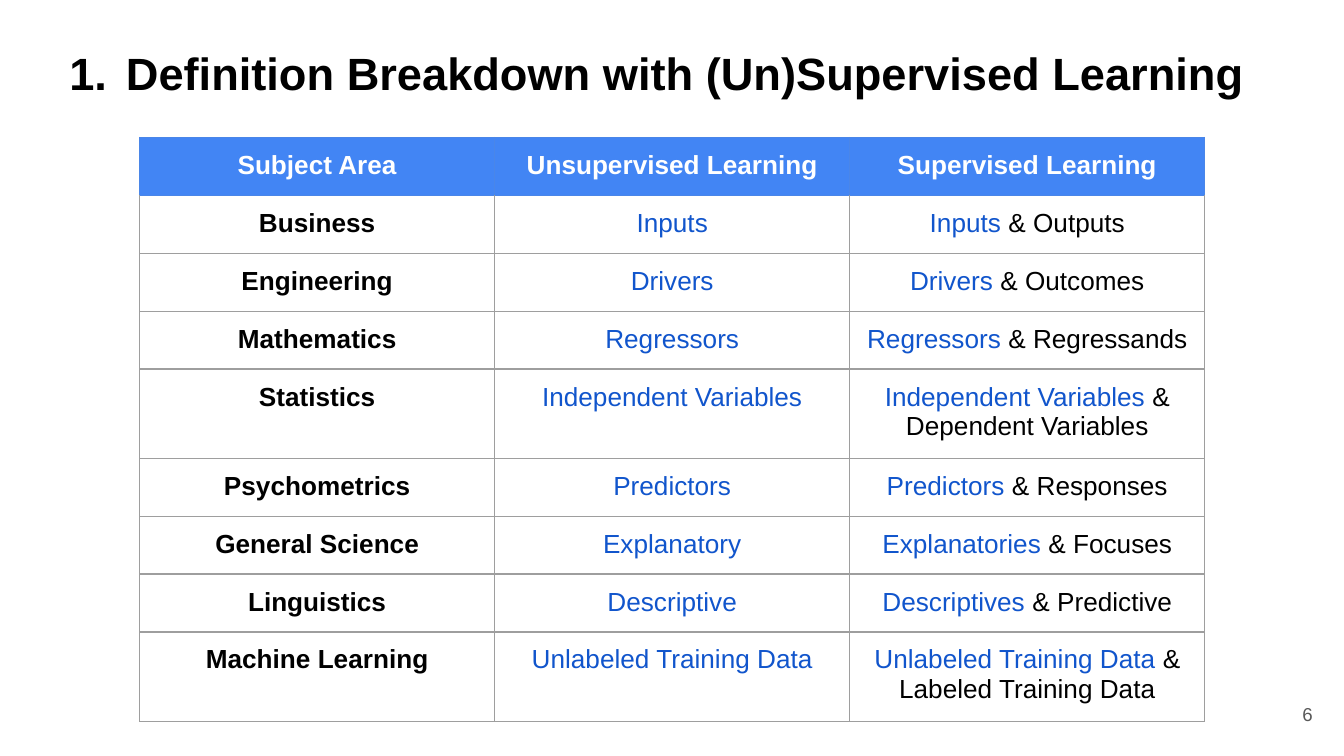
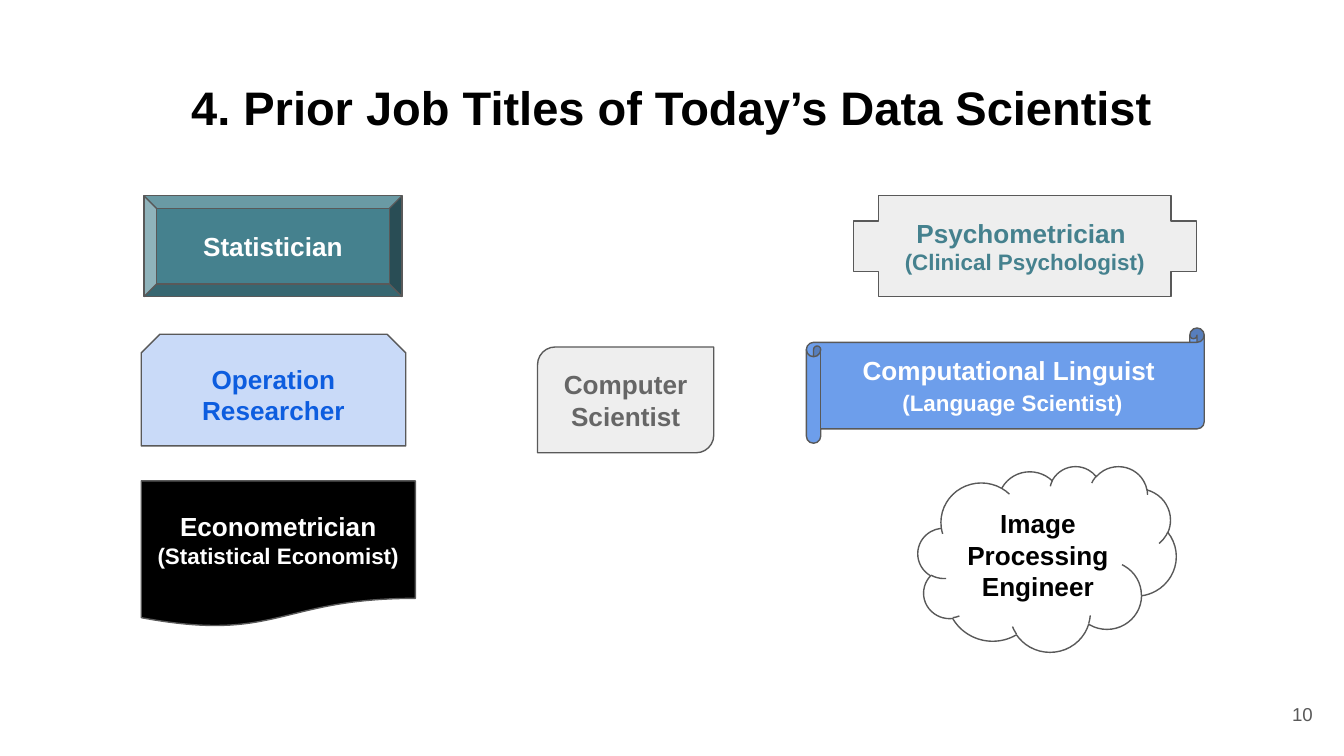
import lxml.etree
import pptx
import pptx.dml.color
import pptx.enum.shapes
import pptx.enum.text
import pptx.oxml.ns
import pptx.util

Cm, Pt = pptx.util.Cm, pptx.util.Pt
qn = pptx.oxml.ns.qn
ALIGN = pptx.enum.text.PP_ALIGN
ANCHOR = pptx.enum.text.MSO_ANCHOR
SHAPE = pptx.enum.shapes.MSO_SHAPE

FONT = "Arial"
INSET = Cm(0.25)
LINE_WIDTH = Pt(0.75)
BODY, DETAIL, FOOTER = 14, 12, 10
COLORS = {
    "black": "000000", "white": "FFFFFF", "outline": "595959",
    "header": "4285F4", "header_border": "4A86E8", "border": "9E9E9E",
    "input": "1155CC", "teal": "45818E", "pale_blue": "C9DAF8",
    "operation": "0D5DDF", "light_gray": "EEEEEE", "gray": "666666",
    "scroll": "6D9EEB",
}

SUBJECT_COLUMNS = ("Subject Area", "Unsupervised Learning", "Supervised Learning")
SUBJECTS = [
    ("Business", "Inputs", "Inputs", " & Outputs"),
    ("Engineering", "Drivers", "Drivers", " & Outcomes"),
    ("Mathematics", "Regressors", "Regressors", " & Regressands"),
    ("Statistics", "Independent Variables", "Independent Variables", " & Dependent Variables"),
    ("Psychometrics", "Predictors", "Predictors", " & Responses"),
    ("General Science", "Explanatory", "Explanatories", " & Focuses"),
    ("Linguistics", "Descriptive", "Descriptives ", "& Predictive"),
    ("Machine Learning", "Unlabeled Training Data", "Unlabeled Training Data",
     " & Labeled Training Data"),
]

JOB_TITLES = [
    (SHAPE.BEVEL, (2.72, 3.7, 4.88, 1.91), "teal", "white",
     [[("Statistician", BODY)]]),
    (SHAPE.SNIP_2_SAME_RECTANGLE, (2.67, 6.32, 5, 2.11), "pale_blue", "operation",
     [[("Operation Researcher", BODY)]]),
    (SHAPE.FLOWCHART_DOCUMENT, (2.67, 9.09, 5.18, 2.77), "black", "white",
     [[("Econometrician ", BODY), ("(Statistical Economist)", DETAIL)]]),
    (SHAPE.CROSS, (16.13, 3.7, 6.48, 1.91), "light_gray", "teal",
     [[("Psychometrician ", BODY)], [("(Clinical Psychologist)", DETAIL)]]),
    (SHAPE.HORIZONTAL_SCROLL, (15.24, 6.2, 7.52, 2.18), "scroll", "white",
     [[("Computational Linguist", BODY)], [(" ", BODY), ("(Language Scientist)", DETAIL)]]),
    (SHAPE.CLOUD, (17.35, 8.81, 4.88, 3.51), "white", "black",
     [[("Image Processing Engineer", BODY)]]),
    (SHAPE.ROUND_2_DIAG_RECTANGLE, (10.16, 6.56, 3.33, 2), "light_gray", "gray",
     [[("Computer Scientist", BODY)]]),
]


def rgb(color):
    """Return the named colour."""
    return pptx.dml.color.RGBColor.from_string(COLORS[color])


def write_paragraph(paragraph, runs, align=ALIGN.CENTER, bold=True):
    """Write (text, size, colour) runs, setting shared values on the paragraph."""
    paragraph.alignment = align
    paragraph.font.name = FONT
    paragraph.font.bold = bold
    same_size = len({size for _, size, _ in runs}) == 1
    same_color = len({color for _, _, color in runs}) == 1
    for text, size, color in runs:
        run = paragraph.add_run()
        run.text = text
        (paragraph if same_size else run).font.size = Pt(size)
        (paragraph if same_color else run).font.color.rgb = rgb(color)


def prepare_frame(frame, anchor):
    """Give a text frame the shared insets, wrapping and an anchor."""
    frame.word_wrap = True
    frame.vertical_anchor = anchor
    frame.margin_left = frame.margin_right = INSET
    frame.margin_top = frame.margin_bottom = INSET


def add_label(slide, box, runs, align, anchor, bold, numbered=False):
    """Add a one-paragraph text box, numbered if asked."""
    frame = slide.shapes.add_textbox(*map(Cm, box)).text_frame
    prepare_frame(frame, anchor)
    paragraph = frame.paragraphs[0]
    if numbered:
        number_paragraph(paragraph)
    write_paragraph(paragraph, runs, align, bold)


def number_paragraph(paragraph):
    """Start a numbered list with a hanging indent."""
    properties = paragraph._p.get_or_add_pPr()
    properties.set("marL", str(Cm(1.27)))
    properties.set("indent", str(-Cm(1.07)))
    bullet_color = lxml.etree.SubElement(properties, qn("a:buClr"))
    lxml.etree.SubElement(bullet_color, qn("a:srgbClr"), val=COLORS["black"])
    lxml.etree.SubElement(properties, qn("a:buFont"), typeface=FONT)
    lxml.etree.SubElement(properties, qn("a:buAutoNum"), type="arabicPeriod")


def add_titled_slide(deck, title, top, size, number, numbered=False):
    """Add a blank slide with its title and page number."""
    slide = deck.slides.add_slide(deck.slide_layouts[6])
    add_label(slide, (0.86, top, 23.67, 1.6), [(title, size, "black")],
              ALIGN.LEFT if numbered else ALIGN.CENTER, ANCHOR.TOP, True, numbered)
    add_label(slide, (23.54, 12.96, 1.52, 1.09), [(number, FOOTER, "outline")],
              ALIGN.RIGHT, ANCHOR.MIDDLE, False)
    return slide


def set_borders(cell, **sides):
    """Draw the cell borders, given as side=colour."""
    properties = cell._tc.get_or_add_tcPr()
    for side, color in sides.items():
        line = lxml.etree.SubElement(properties, qn(f"a:ln{side}"), w=str(LINE_WIDTH))
        fill = lxml.etree.SubElement(line, qn("a:solidFill"))
        lxml.etree.SubElement(fill, qn("a:srgbClr"), val=COLORS[color])


def fill_cell(cell, runs, bold, top, sides, fill=None):
    """Write one table cell with its borders and fill."""
    cell.margin_left = cell.margin_right = INSET
    cell.margin_top = cell.margin_bottom = INSET
    bottom = "header_border" if fill else sides
    set_borders(cell, L=sides, R=sides, T=top, B=bottom)
    if fill:
        cell.fill.solid()
        cell.fill.fore_color.rgb = rgb(fill)
    else:
        cell.fill.background()
    write_paragraph(cell.text_frame.paragraphs[0], runs, bold=bold)


def add_subject_table(slide):
    """Add the table of terms used in each subject area."""
    row_count, column_count = len(SUBJECTS) + 1, len(SUBJECT_COLUMNS)
    column_width, row_height = 6.71, 1.06
    table = slide.shapes.add_table(
        row_count, column_count, Cm(2.64), Cm(2.6),
        Cm(column_width * column_count), Cm(row_height * row_count)).table
    table.first_row = table.horz_banding = False
    for column in table.columns:
        column.width = Cm(column_width)
    for row in table.rows:
        row.height = Cm(row_height)
    for index, heading in enumerate(SUBJECT_COLUMNS):
        fill_cell(table.cell(0, index), [(heading, BODY, "white")], True,
                  "header_border", "header_border", "header")
    for row, (subject, unsupervised, inputs, outputs) in enumerate(SUBJECTS, 1):
        cells = [
            [(subject, BODY, "black")],
            [(unsupervised, BODY, "input")],
            [(inputs, BODY, "input"), (outputs, BODY, "black")],
        ]
        top = "header_border" if row == 1 else "border"
        for index, runs in enumerate(cells):
            fill_cell(table.cell(row, index), runs, index == 0, top, "border")


def add_job_title(slide, outline, box, fill, color, paragraphs):
    """Add a shape that holds one prior job title."""
    job = slide.shapes.add_shape(outline, *map(Cm, box))
    job.shadow.inherit = False
    job.fill.solid()
    job.fill.fore_color.rgb = rgb(fill)
    job.line.color.rgb = rgb("outline")
    job.line.width = LINE_WIDTH
    frame = job.text_frame
    prepare_frame(frame, ANCHOR.MIDDLE)
    for index, runs in enumerate(paragraphs):
        paragraph = frame.add_paragraph() if index else frame.paragraphs[0]
        write_paragraph(paragraph, [(text, size, color) for text, size in runs])


def main():
    """Build and save the deck."""
    deck = pptx.Presentation()
    deck.slide_width, deck.slide_height = Cm(25.4), Cm(14.29)
    definitions = add_titled_slide(
        deck, "Definition Breakdown with (Un)Supervised Learning", 0.61, 24.2, "6", True)
    add_subject_table(definitions)
    jobs = add_titled_slide(
        deck, "4. Prior Job Titles of Today’s Data Scientist", 1.24, 25.2, "10")
    for job in JOB_TITLES:
        add_job_title(jobs, *job)
    deck.save("out.pptx")


if __name__ == "__main__":
    main()
